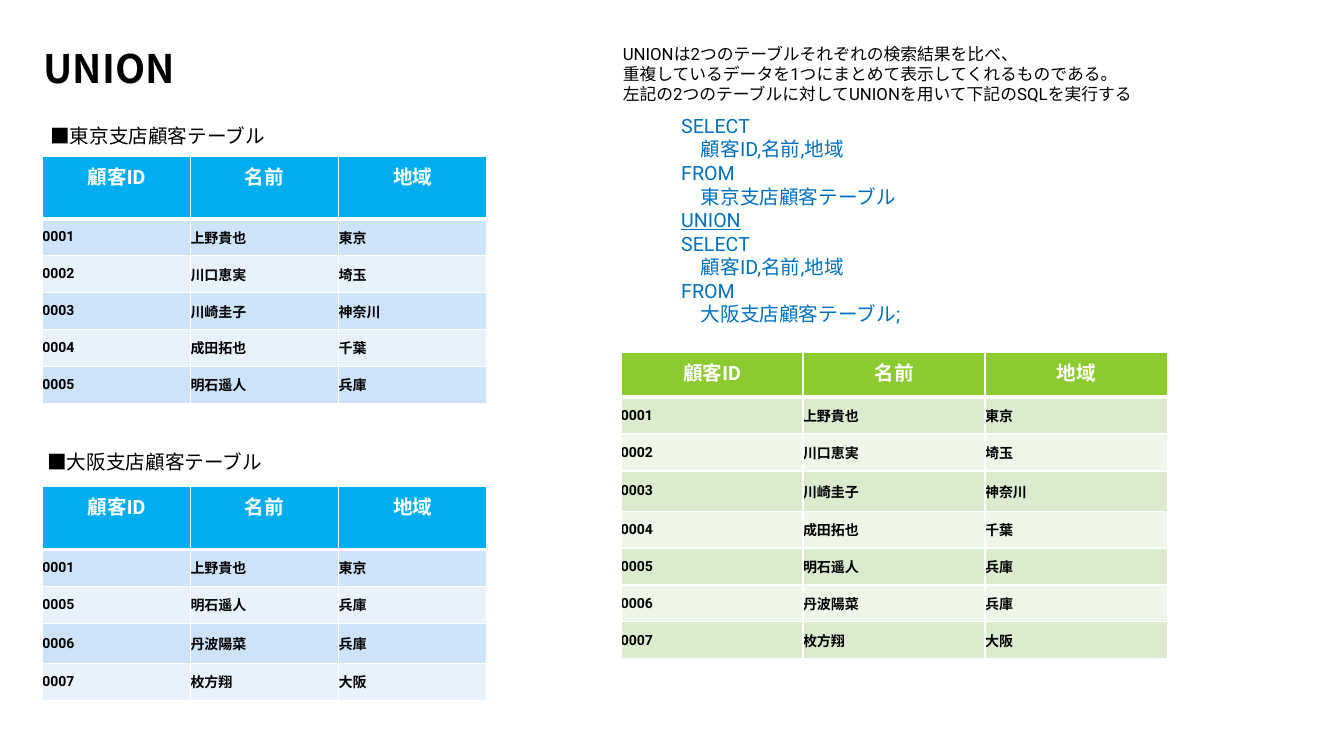
from lxml.etree import SubElement
from pptx import Presentation
from pptx.dml.color import RGBColor
from pptx.enum.text import MSO_ANCHOR as Anchor, MSO_AUTO_SIZE as AutoSize, PP_ALIGN as Align
from pptx.oxml.ns import qn
from pptx.util import Inches, Pt

WIDTH, HEIGHT = Inches(13.333), Inches(7.5)
LATIN, JAPANESE = "Roboto", "Noto Sans CJK JP"
COLORS = {
    "black": "000000", "white": "FFFFFF", "code": "0070C0",
    "blue": "00AEEF", "blue_odd": "CCE3F9", "blue_even": "E7F2FC",
    "green": "8BCB30", "green_odd": "DAECCD", "green_even": "EEF6E8",
}

# Table content
HEADER = ("顧客ID", "名前", "地域")
TOKYO = [
    ("0001", "上野貴也", "東京"),
    ("0002", "川口恵実", "埼玉"),
    ("0003", "川崎圭子", "神奈川"),
    ("0004", "成田拓也", "千葉"),
    ("0005", "明石遥人", "兵庫"),
]
OSAKA_ONLY = [("0006", "丹波陽菜", "兵庫"), ("0007", "枚方翔", "大阪")]
OSAKA = [TOKYO[0], TOKYO[4]] + OSAKA_ONLY
MERGED = TOKYO + OSAKA_ONLY

# Row heights, in percent of the slide height
ROW, TALL_ROW = 4.88, 5.33

DESCRIPTION = [
    "UNIONは2つのテーブルそれぞれの検索結果を比べ、",
    "重複しているデータを1つにまとめて表示してくれるものである。",
    "左記の2つのテーブルに対してUNIONを用いて下記のSQLを実行する",
]


def across(percent):
    return int(WIDTH * percent / 100)


def down(percent):
    return int(HEIGHT * percent / 100)


def area(left, top, width, height):
    return across(left), down(top), across(width), down(height)


def style(para, size, color="black", name=LATIN, bold=False):
    font = para.font
    font.size, font.bold = Pt(size), bold
    font.color.rgb = RGBColor.from_string(COLORS[color])
    font.name = name
    # Japanese letters take their own typeface
    properties = para._p.get_or_add_pPr().find(qn("a:defRPr"))
    SubElement(properties, qn("a:ea"), typeface=JAPANESE)


def add_title(page, text):
    title = page.shapes.title
    title.left, title.top, title.width, title.height = area(2.5, 6, 25.65, 6.67)
    frame = title.text_frame
    frame.text = text
    frame.auto_size = AutoSize.NONE
    frame.vertical_anchor = Anchor.BOTTOM
    para = frame.paragraphs[0]
    para.alignment, para.line_spacing = Align.LEFT, 0.8
    style(para, 28, name=JAPANESE, bold=True)


def add_text(page, place, lines, size, color="black"):
    frame = page.shapes.add_textbox(*area(*place)).text_frame
    frame.word_wrap = True
    for index, line in enumerate(lines):
        para = frame.add_paragraph() if index else frame.paragraphs[0]
        para.text = line
        style(para, size, color)
    return frame.paragraphs


def add_query(page):
    columns = ",".join(HEADER)
    lines = ["SELECT", columns, "FROM", "東京支店顧客テーブル", "UNION",
             "SELECT", columns, "FROM", "大阪支店顧客テーブル;"]
    for para in add_text(page, (49.95, 14.4, 22.5, 29.6), lines, 14, "code"):
        if para.text == "UNION":
            para.font.underline = True
        elif para.text not in ("SELECT", "FROM"):
            para._p.get_or_add_pPr().set("marL", str(Pt(14)))


def add_borders(cell, bottom):
    properties = cell._tc.get_or_add_tcPr()
    for side, points in (("L", 1), ("R", 1), ("T", 1), ("B", bottom)):
        line = SubElement(properties, qn(f"a:ln{side}"), w=str(Pt(points)))
        fill = SubElement(line, qn("a:solidFill"))
        SubElement(fill, qn("a:srgbClr"), val=COLORS["white"])


def fill_cell(cell, text, color, is_header, name):
    add_borders(cell, 3 if is_header else 1)
    cell.fill.solid()
    cell.fill.fore_color.rgb = RGBColor.from_string(COLORS[color])
    cell.text = text
    para = cell.text_frame.paragraphs[0]
    if is_header:
        para.alignment = Align.CENTER
        style(para, 14, "white", name, bold=True)
    else:
        cell.vertical_anchor = Anchor.MIDDLE
        cell.margin_left = cell.margin_right = cell.margin_top = cell.margin_bottom = 0
        style(para, 10, "black", name, bold=True)


def add_customers(page, left, top, width, header_height, customers, theme, tall_row=None):
    heights = [header_height] + [ROW] * len(customers)
    if tall_row:
        heights[tall_row] = TALL_ROW
    place = area(left, top, width, sum(heights))
    table = page.shapes.add_table(len(heights), len(HEADER), *place).table
    for column in table.columns:
        column.width = across(width / len(HEADER))
    for number, values in enumerate([HEADER] + customers):
        table.rows[number].height = down(heights[number])
        is_header = number == 0
        color = theme if is_header else f"{theme}_{'odd' if number % 2 else 'even'}"
        for index, value in enumerate(values):
            name = LATIN if is_header or index == 0 else JAPANESE
            fill_cell(table.cell(number, index), value, color, is_header, name)


def main():
    deck = Presentation()
    deck.slide_width, deck.slide_height = WIDTH, HEIGHT
    page = deck.slides.add_slide(deck.slide_layouts[5])

    # Left half: the two branch tables
    add_title(page, "UNION")
    add_customers(page, 3.15, 20.67, 33.08, 8.27, TOKYO, "blue")
    add_text(page, (2.78, 58.8, 18.9, 4.53), ["■大阪支店顧客テーブル"], 14)
    add_text(page, (3, 15.73, 18.68, 4.53), ["■東京支店顧客テーブル"], 14)

    # Right half: explanation, query and its result
    add_text(page, (45.6, 5.07, 51.23, 9.47), DESCRIPTION, 12)
    add_query(page)
    add_customers(page, 3.15, 64.4, 33.08, 8.27, OSAKA, "blue", tall_row=3)
    add_customers(page, 46.2, 46.67, 40.65, 5.87, MERGED, "green", tall_row=3)

    deck.save("out.pptx")


if __name__ == "__main__":
    main()
